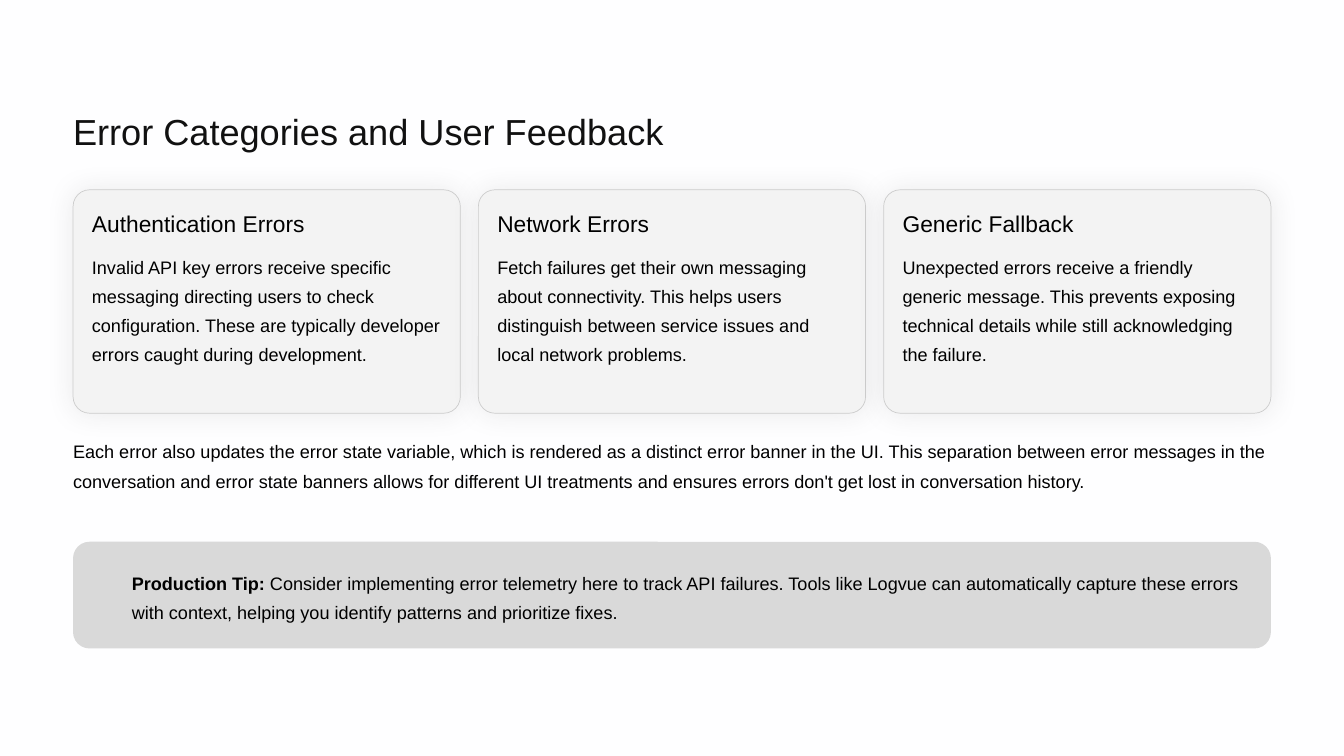
from lxml import etree
from pptx import Presentation
from pptx.dml.color import RGBColor
from pptx.enum.shapes import MSO_SHAPE
from pptx.enum.text import MSO_ANCHOR, PP_ALIGN
from pptx.oxml.ns import qn
from pptx.util import Inches, Pt

ROUNDED = MSO_SHAPE.ROUNDED_RECTANGLE
TOP = MSO_ANCHOR.TOP
LEFT = PP_ALIGN.LEFT

COLOURS = {
    "page": "FEFEFF",
    "title": "111111",
    "text": "000000",
    "card": "F3F3F3",
    "border": "CCCCCC",
    "shadow": "333333",
    "tip": "D9D9D9",
}
FORMATS = {
    "title": {"size": 31, "spacing": 39, "colour": "title", "wrap": False},
    "heading": {"size": 19.5, "spacing": 24, "colour": "text", "wrap": False},
    "body": {"size": 15.5, "spacing": 25, "colour": "text", "wrap": True},
}

MARGIN = 0.87
CONTENT_WIDTH = 14.26
CARD_TOP, CARD_WIDTH, CARD_HEIGHT = 2.26, 4.61, 2.66
CARDS = [
    ("Authentication Errors",
     "Invalid API key errors receive specific messaging directing users to check "
     "configuration. These are typically developer errors caught during development."),
    ("Network Errors",
     "Fetch failures get their own messaging about connectivity. This helps users "
     "distinguish between service issues and local network problems."),
    ("Generic Fallback",
     "Unexpected errors receive a friendly generic message. This prevents exposing "
     "technical details while still acknowledging the failure."),
]
CARD_STEP = (CONTENT_WIDTH - CARD_WIDTH) / (len(CARDS) - 1)


class SlideBuilder:
    def __init__(self, page, font="Arial"):
        self.page = page
        self.font = font

    def colour(self, name):
        return RGBColor.from_string(COLOURS[name])

    def background(self, name):
        fill = self.page.background.fill
        fill.solid()
        fill.fore_color.rgb = self.colour(name)

    def panel(self, left, top, width, height, fill, radius, border=None):
        box = self.page.shapes.add_shape(
            ROUNDED, Inches(left), Inches(top), Inches(width), Inches(height))
        box.adjustments[0] = radius
        box.shadow.inherit = False
        box.fill.solid()
        box.fill.fore_color.rgb = self.colour(fill)
        if border:
            box.line.color.rgb = self.colour(border)
            box.line.width = Pt(0.6)
        else:
            box.line.fill.background()
        return box

    def glow_shadow(self, box, name, blur, opacity):
        effects = box.element.spPr.find(qn("a:effectLst"))
        shadow = etree.SubElement(
            effects, qn("a:outerShdw"), blurRad=str(Pt(blur)), dist="0", dir="0",
            algn="ctr", rotWithShape="0")
        colour = etree.SubElement(shadow, qn("a:srgbClr"), val=COLOURS[name])
        etree.SubElement(colour, qn("a:alpha"), val=str(opacity * 1000))

    def text(self, left, top, width, height, style, *spans):
        """Each span is a pair of wording and bold flag."""
        look = FORMATS[style]
        box = self.page.shapes.add_textbox(
            Inches(left), Inches(top), Inches(width), Inches(height))
        frame_values = {
            "margin_left": 0, "margin_top": 0, "margin_right": 0, "margin_bottom": 0,
            "word_wrap": look["wrap"], "vertical_anchor": TOP}
        for key, value in frame_values.items():
            setattr(box.text_frame, key, value)
        para = box.text_frame.paragraphs[0]
        para.alignment = LEFT
        para.line_spacing = Pt(look["spacing"])
        for wording, bold in spans:
            span = para.add_run()
            span.text = wording
            font_values = {"name": self.font, "size": Pt(look["size"]), "bold": bold}
            for key, value in font_values.items():
                setattr(span.font, key, value)
            span.font.color.rgb = self.colour(look["colour"])

    def card(self, left, heading, body):
        box = self.panel(left, CARD_TOP, CARD_WIDTH, CARD_HEIGHT, "card", 0.074, "border")
        self.glow_shadow(box, "shadow", 23.4, 10)
        inner = left + 0.225
        self.text(inner, CARD_TOP + 0.23, 2.75, 0.34, "heading", (heading, False))
        self.text(inner, CARD_TOP + 0.7, 4.16, 1.74, "body", (body, False))


def main():
    deck = Presentation()
    deck.slide_width, deck.slide_height = Inches(16), Inches(9)
    builder = SlideBuilder(deck.slides.add_slide(deck.slide_layouts[6]))
    builder.background("page")

    # Title
    builder.text(MARGIN, 1.28, 7.53, 0.54, "title",
                 ("Error Categories and User Feedback", False))

    # Error category cards
    for index, (heading, body) in enumerate(CARDS):
        builder.card(MARGIN + index * CARD_STEP, heading, body)

    # Explanation
    builder.text(MARGIN, 5.16, CONTENT_WIDTH, 1.04, "body", (
        "Each error also updates the error state variable, which is rendered as a "
        "distinct error banner in the UI. This separation between error messages in the "
        "conversation and error state banners allows for different UI treatments and "
        "ensures errors don't get lost in conversation history.", False))

    # Production tip
    builder.panel(MARGIN, 6.45, CONTENT_WIDTH, 1.27, "tip", 0.154)
    builder.text(
        1.57, 6.72, 13.34, 0.69, "body",
        ("Production Tip:", True),
        (" Consider implementing error telemetry here to track API failures. Tools like "
         "Logvue can automatically capture these errors with context, helping you "
         "identify patterns and prioritize fixes.", False))

    deck.save("out.pptx")


if __name__ == "__main__":
    main()
